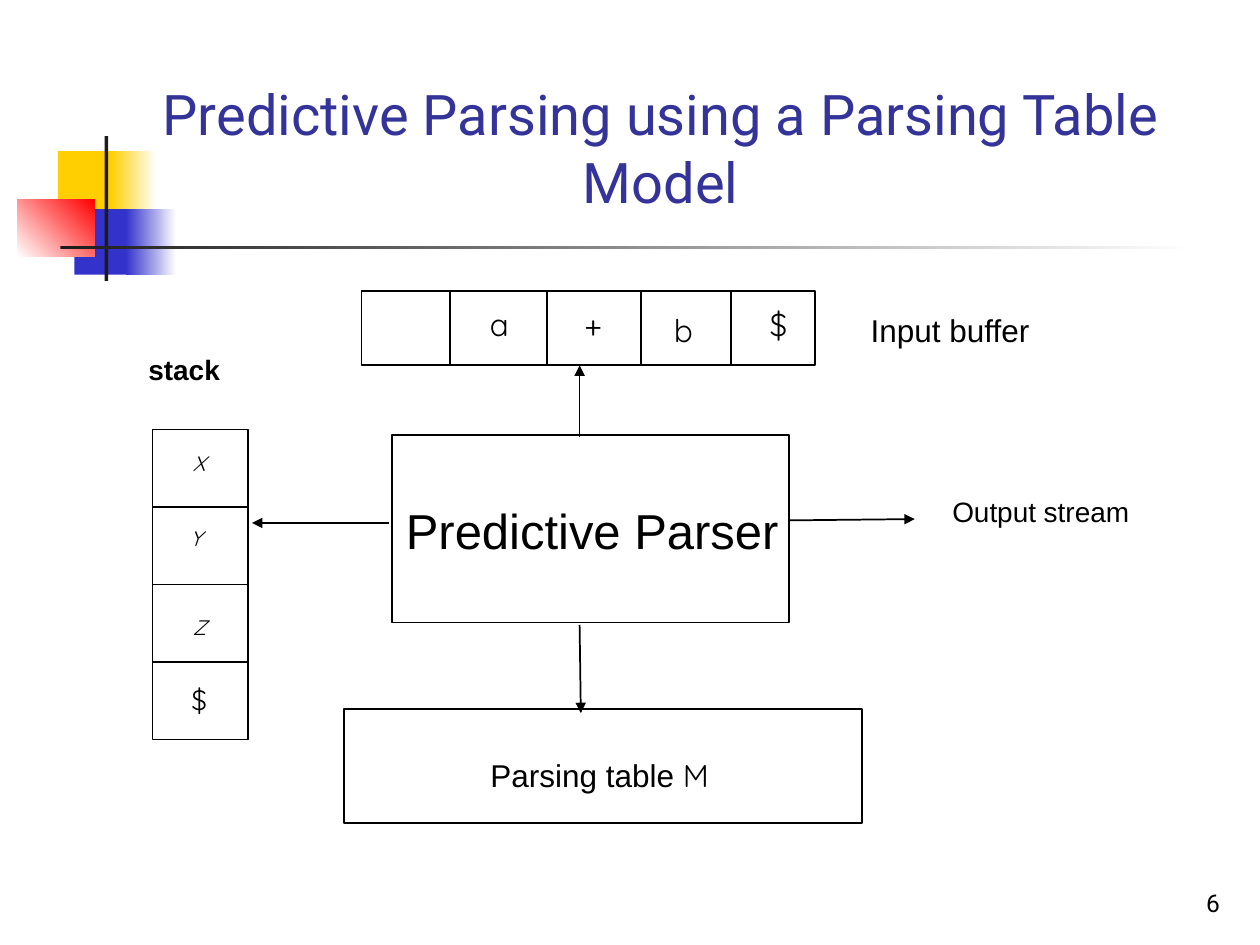
from dataclasses import dataclass
from typing import Optional

from lxml import etree
from pptx import Presentation
from pptx.dml.color import RGBColor
from pptx.enum import shapes, text
from pptx.oxml import ns
from pptx.util import Inches, Pt

BLACK = RGBColor(0x00, 0x00, 0x00)
WHITE = RGBColor(0xFF, 0xFF, 0xFF)
CHARCOAL = RGBColor(0x1C, 0x1C, 0x1C)
YELLOW = RGBColor(0xFF, 0xCF, 0x01)
BLUE = RGBColor(0x33, 0x33, 0xCC)
RED = RGBColor(0xFF, 0x00, 0x00)
TITLE_BLUE = RGBColor(0x33, 0x33, 0x99)

LEFT, CENTER, RIGHT = text.PP_ALIGN.LEFT, text.PP_ALIGN.CENTER, text.PP_ALIGN.RIGHT
TOP, BOTTOM = text.MSO_ANCHOR.TOP, text.MSO_ANCHOR.BOTTOM


@dataclass(frozen=True)
class Box:
    left: float
    top: float
    width: float
    height: float

    @property
    def right(self) -> float:
        return self.left + self.width

    @property
    def bottom(self) -> float:
        return self.top + self.height

    def lengths(self) -> list:
        return [Inches(v) for v in (self.left, self.top, self.width, self.height)]


@dataclass(frozen=True)
class Ornament:
    box: Box
    color: RGBColor
    fade_to: Optional[RGBColor] = None
    angle: float = 0


@dataclass(frozen=True)
class Run:
    text: str
    size: float
    font: str = "Arial"
    color: RGBColor = BLACK
    bold: bool = False
    italic: bool = False


@dataclass(frozen=True)
class Label:
    box: Box
    runs: tuple
    align: text.PP_ALIGN = LEFT
    anchor: text.MSO_ANCHOR = TOP
    wrap: bool = True
    grow: bool = True


@dataclass(frozen=True)
class Line:
    x1: float
    y1: float
    x2: float
    y2: float
    arrow: bool = False


BUFFER = Box(2.87, 2.31, 3.6, 0.59)
PARSER = Box(3.11, 3.45, 3.15, 1.49)
STACK = Box(1.21, 3.41, 0.76, 2.46)
TABLE = Box(2.73, 5.63, 4.11, 0.9)

ORNAMENTS = [
    Ornament(Box(0.46, 1.2, 0.48, 0.52), YELLOW),
    Ornament(Box(0.88, 1.2, 0.36, 0.52), YELLOW, WHITE),
    Ornament(Box(0.59, 1.66, 0.46, 0.52), BLUE),
    Ornament(Box(1, 1.66, 0.4, 0.52), BLUE, WHITE),
    Ornament(Box(0.14, 1.58, 0.61, 0.46), WHITE, RED, 45),
    Ornament(Box(0.83, 1.08, 0.03, 1.15), CHARCOAL),
    Ornament(Box(0.48, 1.95, 9, 0.03), CHARCOAL, WHITE),
]

TITLE = Label(
    Box(0.58, 0.5, 9.33, 1.25),
    (Run("Predictive Parsing using a Parsing Table\vModel", 32, "Roboto", TITLE_BLUE),),
    CENTER, BOTTOM, grow=False,
)
PAGE_NUMBER = Label(Box(7.7, 6.83, 2.08, 0.5), (Run("6", 14, "Roboto"),),
                    RIGHT, BOTTOM, grow=False)

LABELS = [
    Label(Box(3, 3.92, 3.4, 0.57), (Run("Predictive Parser", 28),), CENTER),
    Label(Box(1.08, 2.75, 1, 0.37), (Run("stack", 16, bold=True),)),
    Label(Box(2.68, 5.95, 4.16, 0.4),
          (Run("Parsing table ", 18), Run("M", 18, "Quicksand")), CENTER),
    Label(Box(6.75, 2.42, 1.58, 0.4), (Run("Input buffer", 18),), CENTER),
    Label(Box(7.46, 3.88, 1.96, 0.37), (Run("Output stream", 16),)),
]

BUFFER_SYMBOLS = [("a", 3.79, 2.37), ("+", 4.54, 2.37), ("b", 5.25, 2.42), ("$", 6.01, 2.37)]
BUFFER_DIVIDERS = [3.57, 4.34, 5.09, 5.8]
STACK_VARIABLES = [("X", 1.43, 3.53), ("Y", 1.41, 4.12), ("Z", 1.43, 4.83)]
STACK_CELLS = 4

ARROWS = [
    Line(4.6, 3.47, 4.6, BUFFER.bottom, True),
    Line(3.09, 4.15, 2, 4.15, True),
    Line(4.6, 4.96, 4.61, 5.66, True),
    Line(PARSER.right, 4.13, 7.26, 4.12, True),
]


def add_rect(s, box: Box):
    sp = s.shapes.add_shape(shapes.MSO_SHAPE.RECTANGLE, *box.lengths())
    sp.shadow.inherit = False
    return sp


def add_ornament(s, item: Ornament) -> None:
    sp = add_rect(s, item.box)
    sp.line.fill.background()
    if item.fade_to is None:
        sp.fill.solid()
        sp.fill.fore_color.rgb = item.color
        return
    sp.fill.gradient()
    sp.fill.gradient_angle = item.angle
    for stop, color in zip(sp.fill.gradient_stops, (item.color, item.fade_to)):
        stop.color.rgb = color


def add_outline(s, box: Box) -> None:
    sp = add_rect(s, box)
    sp.fill.background()
    sp.line.color.rgb = BLACK
    sp.line.width = Pt(1)


def add_label(s, label: Label) -> None:
    tf = s.shapes.add_textbox(*label.box.lengths()).text_frame
    tf.word_wrap = label.wrap
    tf.vertical_anchor = label.anchor
    if label.grow:
        tf.auto_size = text.MSO_AUTO_SIZE.SHAPE_TO_FIT_TEXT
    p = tf.paragraphs[0]
    p.alignment = label.align
    for run in label.runs:
        for i, part in enumerate(run.text.split("\v")):
            if i:
                p.add_line_break()
            r = p.add_run()
            r.text = part
            r.font.name = run.font
            r.font.size = Pt(run.size)
            r.font.color.rgb = run.color
            r.font.bold = run.bold
            r.font.italic = run.italic


def add_line(s, line: Line) -> None:
    ends = [Inches(v) for v in (line.x1, line.y1, line.x2, line.y2)]
    c = s.shapes.add_connector(shapes.MSO_CONNECTOR.STRAIGHT, *ends)
    c.line.color.rgb = BLACK
    c.line.width = Pt(1)
    if line.arrow:
        etree.SubElement(c.line._get_or_add_ln(), ns.qn("a:tailEnd"), type="triangle")
    etree.SubElement(c._element.spPr, ns.qn("a:effectLst"))


def main() -> None:
    prs = Presentation()
    prs.slide_width, prs.slide_height = Inches(10), Inches(7.5)
    s = prs.slides.add_slide(prs.slide_layouts[6])

    for item in ORNAMENTS:
        add_ornament(s, item)
    for box in (BUFFER, PARSER, STACK, TABLE):
        add_outline(s, box)
    for label in [PAGE_NUMBER, TITLE, *LABELS]:
        add_label(s, label)

    for symbol, x, y in BUFFER_SYMBOLS:
        add_label(s, Label(Box(x, y, 0.34, 0.4), (Run(symbol, 18, "Quicksand"),), wrap=False))
    for symbol, x, y in STACK_VARIABLES:
        add_label(s, Label(Box(x, y, 0.66, 0.3), (Run(symbol, 12, "Quicksand", italic=True),)))
    add_label(s, Label(Box(1.42, 5.37, 0.67, 0.37), (Run("$", 16, "Quicksand"),)))

    for arrow in ARROWS:
        add_line(s, arrow)
    for i in range(1, STACK_CELLS):
        y = STACK.top + i * STACK.height / STACK_CELLS
        add_line(s, Line(STACK.left, y, STACK.right, y))
    for x in BUFFER_DIVIDERS:
        add_line(s, Line(x, BUFFER.top, x, BUFFER.bottom))

    prs.save("out.pptx")


if __name__ == "__main__":
    main()
